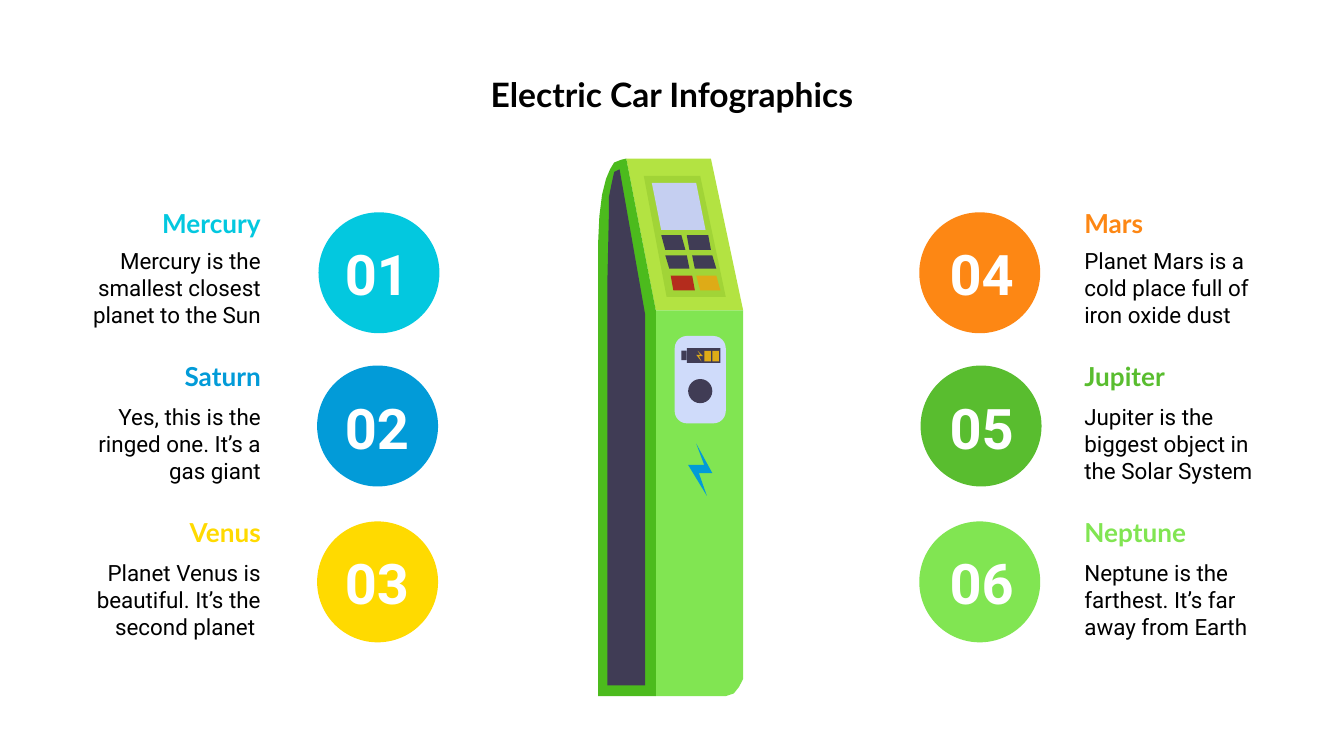
from pptx import Presentation
from pptx.dml.color import RGBColor
from pptx.enum.shapes import MSO_SHAPE as Shape
from pptx.enum.text import MSO_ANCHOR as Anchor, PP_ALIGN as Align
from pptx.util import Inches, Pt

COLORS = {
    "black": "000000", "white": "FFFFFF",
    "cyan": "03C8DF", "blue": "029BD8", "yellow": "FFDA00",
    "orange": "FD8714", "green": "59BD2F", "light_green": "81E552",
    "lime": "B3E342", "side": "4CBB1D", "panel": "A1D437",
    "dark": "403C55", "socket": "CFDBFA", "screen": "C5CFF1",
    "gold": "DEAB17", "red": "B42C1D",
}

ROWS = [(1.58, 1.74), (2.72, 2.9), (3.88, 4.06)]

LEFT_PLANETS = [
    ("01", "Mercury", "Mercury is the smallest closest planet to the Sun", "cyan", 2.37),
    ("02", "Saturn", "Yes, this is the ringed one. It’s a gas giant", "blue", 2.36),
    ("03", "Venus", "Planet Venus is beautiful. It’s the second planet ", "yellow", 2.36),
]
RIGHT_PLANETS = [
    ("04", "Mars", "Planet Mars is a cold place full of iron oxide dust", "orange", 6.84),
    ("05", "Jupiter", "Jupiter is the biggest object in the Solar System", "green", 6.85),
    ("06", "Neptune", "Neptune is the farthest. It’s far away from Earth", "light_green", 6.84),
]


def paint(shape, color):
    shape.shadow.inherit = False
    shape.fill.solid()
    shape.fill.fore_color.rgb = RGBColor.from_string(COLORS[color])
    shape.line.fill.background()
    return shape


def add_preset(slide, kind, left, top, width, height, color):
    shape = slide.shapes.add_shape(
        kind, Inches(left), Inches(top), Inches(width), Inches(height))
    return paint(shape, color)


def add_text(slide, box, words, font, size, color,
             align=Align.LEFT, bold=False, anchor=Anchor.TOP):
    frame = slide.shapes.add_textbox(*(Inches(side) for side in box)).text_frame
    frame.word_wrap = True
    frame.vertical_anchor = anchor
    frame.margin_left = frame.margin_right = Inches(0.1)
    frame.margin_top = frame.margin_bottom = Inches(0.1)
    paragraph = frame.paragraphs[0]
    paragraph.alignment = align
    run = paragraph.add_run()
    run.text = words
    run.font.name = font
    run.font.size = Pt(size)
    run.font.bold = bold
    run.font.color.rgb = RGBColor.from_string(COLORS[color])


def add_title(slide, box):
    add_text(slide, box, "Electric Car Infographics", "Lato", 18, "black",
             Align.CENTER, True)


def add_planets(slide, planets, text_left, number_left, align):
    for (number, name, fact, color, circle_left), (top, fact_top) in zip(planets, ROWS):
        add_preset(slide, Shape.OVAL, circle_left, top, 0.9, 0.9, color)
        add_text(slide, (number_left, top + 0.12, 0.77, 0.67), number,
                 "Roboto", 30, "white", Align.CENTER, True, Anchor.MIDDLE)
        add_text(slide, (text_left, fact_top, 1.53, 0.76), fact,
                 "Roboto", 12, "black", align)
        add_text(slide, (text_left, top - 0.04, 1.53, 0.24), name,
                 "Lato", 14, color, align, True, Anchor.MIDDLE)


def add_charging_station(slide, left, top):
    def outline(points, color, dx=0, dy=0):
        start, *rest = [(x + dx, y + dy) for x, y in points]
        builder = slide.shapes.build_freeform(*start, scale=Inches(0.01))
        builder.add_line_segments(rest, close=True)
        paint(builder.convert_to_shape(Inches(left), Inches(top)), color)

    def preset(kind, x, y, width, height, color):
        return add_preset(slide, kind, left + x, top + y, width, height, color)

    outline([(21, 0), (43, 113), (108, 113), (84, 0)], "lime")
    outline([(43, 113), (43, 400), (95, 400), (101, 398), (105, 393),
             (108, 387), (108, 113)], "light_green")
    outline([(21, 0), (17, 1), (12, 3), (9, 8), (6, 15), (3, 27), (1, 43),
             (0, 64), (0, 400), (43, 400), (43, 113)], "side")
    outline([(16, 8), (12, 10), (10, 19), (8, 29), (8, 43), (7, 87),
             (7, 392), (35, 392), (35, 116)], "dark")

    socket = preset(Shape.ROUNDED_RECTANGLE, 0.57, 1.32, 0.38, 0.65, "socket")
    socket.adjustments[0] = 0.24
    preset(Shape.OVAL, 0.67, 1.64, 0.18, 0.18, "dark")
    preset(Shape.RECTANGLE, 0.66, 1.41, 0.25, 0.11, "dark")
    preset(Shape.RECTANGLE, 0.62, 1.43, 0.04, 0.07, "dark")
    for cell_left in (0.79, 0.85):
        preset(Shape.RECTANGLE, cell_left, 1.43, 0.05, 0.08, "gold")
    outline([(74, 143), (76, 146), (73, 146), (77, 151), (75, 147), (78, 147)], "gold")
    outline([(73, 212), (79, 228), (67, 228), (81, 251), (75, 234), (85, 234)], "blue")

    outline([(34, 13), (51, 103), (95, 103), (76, 13)], "panel")
    outline([(40, 18), (47, 53), (80, 53), (73, 18)], "screen")
    key = [(0, 0), (2.5, 10.5), (18, 10.5), (15.5, 0)]
    key_rows = [("dark", "dark"), ("dark", "dark"), ("red", "gold")]
    for row, colors in enumerate(key_rows):
        for column, color in enumerate(colors):
            outline(key, color, 47 + 3.5 * row + 19 * column, 57 + 15 * row)


def main():
    deck = Presentation()
    deck.slide_width = Inches(10)
    deck.slide_height = deck.slide_width * 9 // 16
    slide = deck.slides.add_slide(deck.slide_layouts[6])
    add_title(slide, (0.5, 0.45, 9, 0.53))
    add_planets(slide, LEFT_PLANETS, 0.51, 2.42, Align.RIGHT)
    add_planets(slide, RIGHT_PLANETS, 7.97, 6.92, Align.LEFT)
    add_charging_station(slide, 4.45, 1.18)
    deck.save("out.pptx")


if __name__ == "__main__":
    main()
